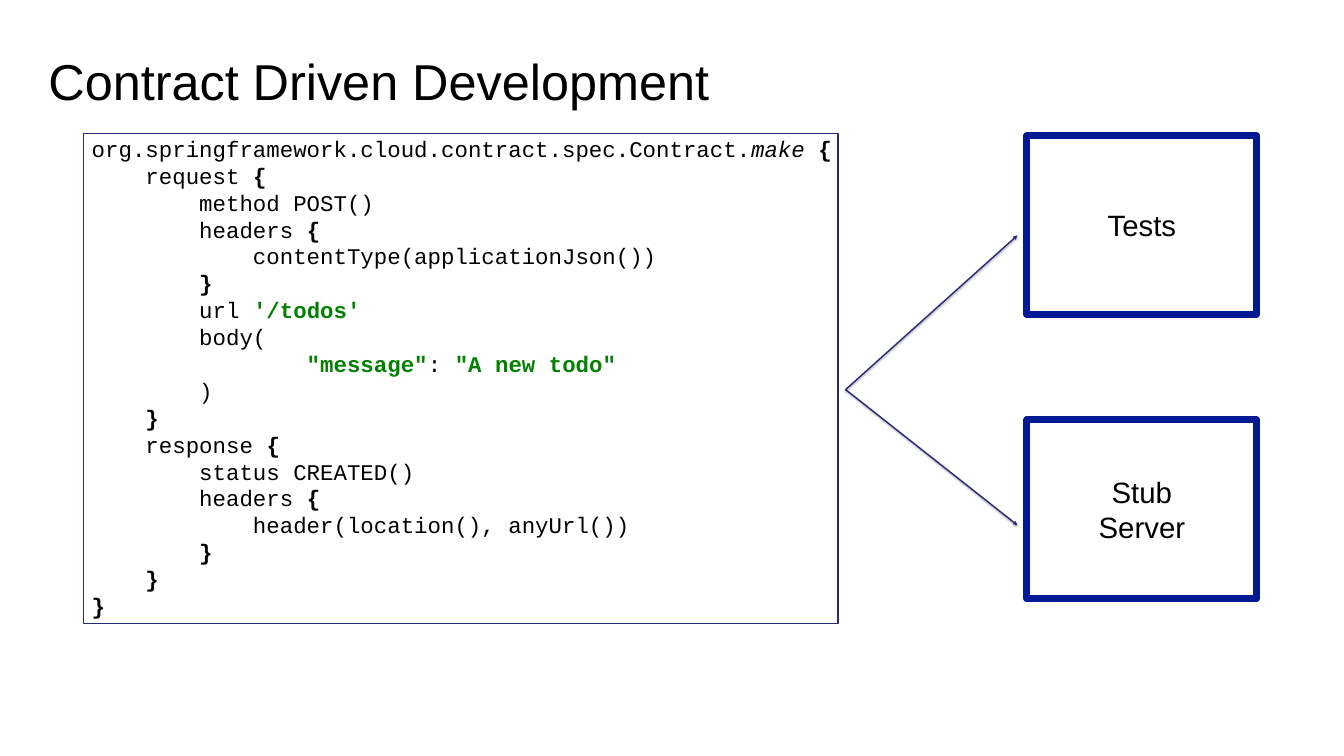
"""Build the slide that shows one contract yielding tests and a stub server."""
from lxml import etree
from pptx import Presentation
from pptx import util as u
from pptx.dml import color
from pptx.enum import shapes, text
from pptx.oxml import ns

theme = {
    "black": color.RGBColor.from_string("000000"),
    "white": color.RGBColor.from_string("FFFFFF"),
    "ink": color.RGBColor.from_string("29297A"),
    "blue": color.RGBColor.from_string("011993"),
    "green": color.RGBColor.from_string("018001"),
    "sans": "Arial", "mono": "Courier New",
    "title": u.Pt(72), "label": u.Pt(42), "code": u.Pt(32),
    "thin": u.Pt(2), "thick": u.Pt(10),
}
plain = {"name": theme["mono"], "size": theme["code"], "bold": False, "italic": False}
label = {"name": theme["sans"], "size": theme["label"]}
head = {"name": theme["sans"], "size": theme["title"]}

code = [
    (0, ["org.springframework.cloud.contract.spec.Contract.", "make ", "{"]),
    (1, ["request ", "{"]),
    (2, ["method POST()"]),
    (2, ["headers ", "{"]),
    (3, ["contentType(applicationJson())"]),
    (2, ["}"]),
    (2, ["url ", "'/todos'"]),
    (2, ["body("]),
    (4, ['"message"', ": ", '"A new todo"']),
    (2, [")"]),
    (1, ["}"]),
    (1, ["response ", "{"]),
    (2, ["status CREATED()"]),
    (2, ["headers ", "{"]),
    (3, ["header(location(), anyUrl())"]),
    (2, ["}"]),
    (1, ["}"]),
    (0, ["}"]),
]


def write(para, words, form, tint=theme["black"]):
    run = para.add_run()
    run.text = words
    for key, val in form.items():
        setattr(run.font, key, val)
    run.font.color.rgb = tint


def frame(place, tint, width):
    box = slide.shapes.add_shape(shapes.MSO_SHAPE.RECTANGLE, *map(u.Inches, place))
    box.shadow.inherit = False
    box.fill.solid()
    box.fill.fore_color.rgb = theme["white"]
    box.line.color.rgb = tint
    box.line.width = width
    return box


deck = Presentation()
deck.slide_width, deck.slide_height = u.Inches(26.67), u.Inches(15)
slide = deck.slides.add_slide(deck.slide_layouts[5])
title = slide.shapes.title

frame((1.66, 2.65, 14.97, 9.72), theme["ink"], theme["thin"])
panel = slide.shapes.add_textbox(*map(u.Inches, (1.77, 2.63, 14.83, 10.13)))
body = panel.text_frame
look = {"word_wrap": False, "auto_size": text.MSO_AUTO_SIZE.SHAPE_TO_FIT_TEXT}
look |= {"margin_" + side: u.Inches(0.05) for side in ("left", "top", "right", "bottom")}
for key, val in look.items():
    setattr(body, key, val)

step = 4 * 0.6 * theme["code"]
for row, (depth, parts) in enumerate(code):
    para = body.add_paragraph() if row else body.paragraphs[0]
    para.line_spacing = u.Pt(38.4)
    para._p.get_or_add_pPr().set("marL", str(round(depth * step)))
    for part in parts:
        quote = part[0] in "'\""
        form = plain | {"bold": quote or part in "{}", "italic": part == "make "}
        write(para, part, form, theme["green" if quote else "black"])

spot = {"left": 0.92, "top": 0.85, "width": 24.83, "height": 1.49}
for key, val in spot.items():
    setattr(title, key, u.Inches(val))
look = {"word_wrap": True, "auto_size": text.MSO_AUTO_SIZE.NONE,
        "vertical_anchor": text.MSO_ANCHOR.MIDDLE}
look |= {"margin_" + side: u.Inches(0.04) for side in ("left", "top", "right", "bottom")}
for key, val in look.items():
    setattr(title.text_frame, key, val)
para = title.text_frame.paragraphs[0]
para.alignment = text.PP_ALIGN.LEFT
write(para, "Contract Driven Development", head)

for top, lines, end in ((2.69, ["Tests"], 4.67), (8.33, ["Stub", "Server"], 10.42)):
    box = frame((20.38, top, 4.56, 3.55), theme["blue"], theme["thick"])
    etree.SubElement(box.line._get_or_add_ln(), ns.qn("a:round"))
    box.text_frame.vertical_anchor = text.MSO_ANCHOR.MIDDLE
    for row, words in enumerate(lines):
        para = box.text_frame.add_paragraph() if row else box.text_frame.paragraphs[0]
        para.alignment = text.PP_ALIGN.CENTER
        para.line_spacing = u.Pt(50)
        write(para, words, label)

    ends = map(u.Inches, (16.78, 7.73, 20.19, end))
    arrow = slide.shapes.add_connector(shapes.MSO_CONNECTOR.STRAIGHT, *ends)
    arrow.line.color.rgb = theme["ink"]
    arrow.line.width = theme["thin"]
    etree.SubElement(arrow.line._get_or_add_ln(), ns.qn("a:tailEnd"), type="triangle")
    glow = etree.SubElement(arrow._element.spPr, ns.qn("a:effectLst"))
    cast = etree.SubElement(glow, ns.qn("a:outerShdw"), blurRad=str(u.Pt(3)),
                            dist=str(u.Pt(1.6)), dir="5400000", rotWithShape="0")
    tone = etree.SubElement(cast, ns.qn("a:srgbClr"), val=str(theme["black"]))
    etree.SubElement(tone, ns.qn("a:alpha"), val="38000")

deck.save("out.pptx")
